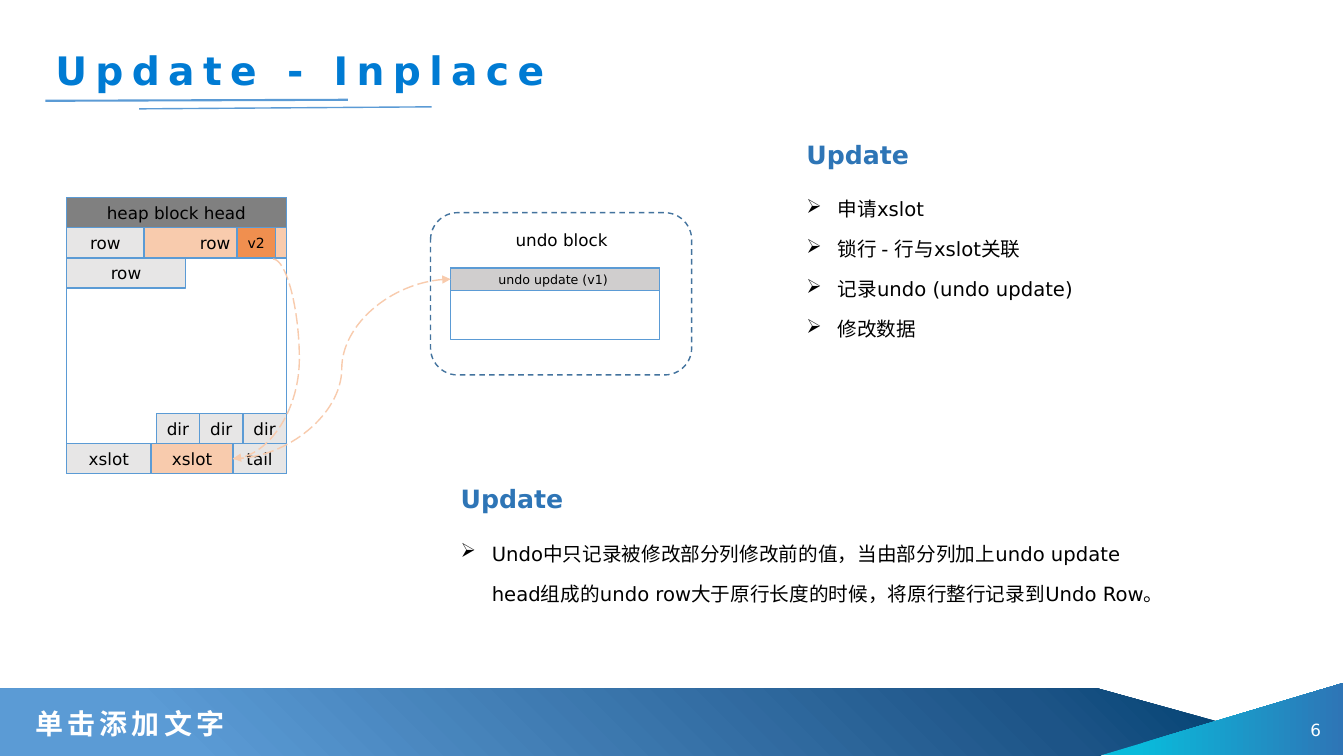
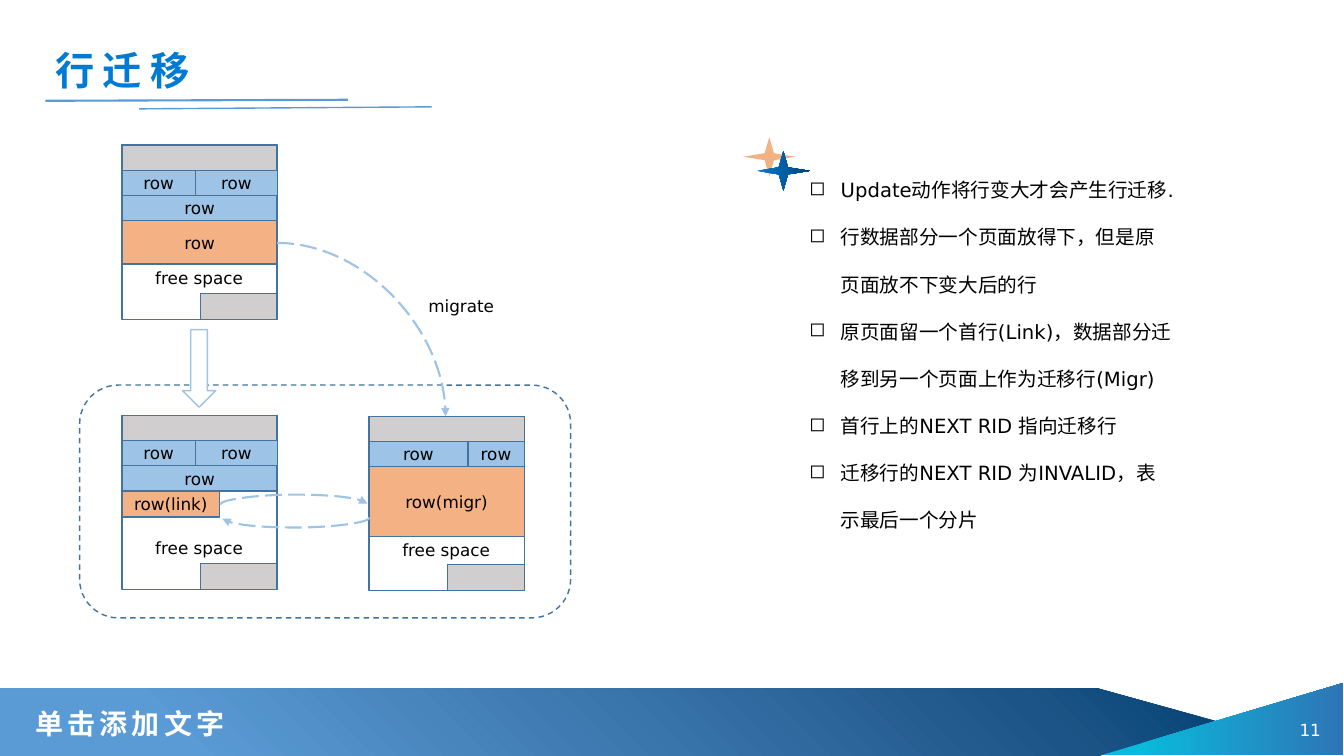
"""Build two slides on in-place updates and row migration in heap blocks."""
import copy

import pptx
import pptx.dml.color
import pptx.enum.dml
import pptx.enum.shapes
import pptx.enum.text
import pptx.oxml
import pptx.oxml.ns
import pptx.util

Inches, Pt = pptx.util.Inches, pptx.util.Pt
SHAPE = pptx.enum.shapes.MSO_SHAPE
CONNECTOR = pptx.enum.shapes.MSO_CONNECTOR
DASH = pptx.enum.dml.MSO_LINE
ALIGN = pptx.enum.text.PP_ALIGN
ANCHOR = pptx.enum.text.MSO_ANCHOR
qn = pptx.oxml.ns.qn

FONT = "DejaVu Sans"
FOOTER = "单击添加文字"
COLORS = {
    "white": "FFFFFF", "black": "000000", "blue": "5B9BD5", "steel": "43739E",
    "heading": "2E75B6", "bright": "007BD3", "navy": "034373", "deep": "1D5487",
    "cyan": "09BBDB", "sky": "9DC3E6", "gray": "808080", "silver": "D0CECE",
    "pale": "E7E6E6", "peach": "F8CBAD", "orange": "F08F4F", "apricot": "F4B183",
}
TITLE_GRADIENT = [(0, "bright"), (100, "navy")]
UNDERLINES = [((0.45, 1), (3.45, 0.99), 1.5), ((1.38, 1.08), (4.28, 1.06), 1)]

HEAP = (0.66, 1.96, 2.18, 2.74)
HEAP_ROW = 0.3
HEAP_ROWS = [
    (0.66, 1.96, [("heap block head", 2.18, "gray")]),
    (0.66, 2.26, [("row", 0.77, "pale"), ("row", 1.41, "peach")]),
    (0.66, 2.56, [("row", 1.18, "pale")]),
    (1.55, 4.1, [("dir", 0.43, "pale")] * 3),
    (0.66, 4.4, [("xslot", 0.84, "pale"), ("xslot", 0.81, "peach"), ("tail", 0.53, "pale")]),
]
UPDATE_PANELS = [
    (7.9, 1.33, 3.59, 1.7, ["申请xslot", "锁行 - 行与xslot关联", "记录undo (undo update)", "修改数据"]),
    (4.47, 4.75, 7.24, 1.3, [
        "Undo中只记录被修改部分列修改前的值，当由部分列加上undo update head组成的undo row"
        "大于原行长度的时候，将原行整行记录到Undo Row。"]),
]

BLOCK_W, BLOCK_H, BLOCK_ROW = 1.54, 1.73, 0.25
TAIL_W, TAIL_H = 0.76, 0.26
PAIR = (BLOCK_ROW, "sky", [("row", 0.73), ("row", 0.81)])
FULL = (BLOCK_ROW, "sky", [("row", BLOCK_W)])
BLOCKS = [
    (1.21, 1.44, [PAIR, FULL, (0.43, "apricot", [("row", BLOCK_W)])]),
    (1.21, 4.12, [PAIR, FULL, (0.26, "apricot", [("row(link)", 0.97)])]),
    (3.66, 4.13, [(BLOCK_ROW, "sky", [("row", 0.98), ("row", 0.56)]),
                  (0.69, "apricot", [("row(migr)", BLOCK_W)])]),
]
MIGRATION_POINTS = [
    "Update动作将行变大才会产生行迁移.",
    "行数据部分一个页面放得下，但是原页面放不下变大后的行",
    "原页面留一个首行(Link)，数据部分迁移到另一个页面上作为迁移行(Migr)",
    "首行上的NEXT RID 指向迁移行",
    "迁移行的NEXT RID 为INVALID，表示最后一个分片",
]


def rgb(name):
    return pptx.dml.color.RGBColor.from_string(COLORS[name])


def gradient(fill, stops, angle=0):
    fill.gradient()
    fill.gradient_angle = angle
    for stop, (position, color) in zip(fill.gradient_stops, stops):
        stop.position = position / 100
        stop.color.rgb = rgb(color)


def write(sp, text, size=12, color="black", bold=False, align=ALIGN.LEFT, anchor=ANCHOR.TOP,
          inset=0.1, spacing=None, tracking=0, bullet=None, stops=None):
    tf = sp.text_frame
    tf.word_wrap = True
    tf.vertical_anchor = anchor
    tf.margin_left = tf.margin_right = Inches(inset)
    tf.margin_top = tf.margin_bottom = Inches(inset / 2)
    lines = [text] if isinstance(text, str) else text
    for i, line in enumerate(lines):
        p = tf.paragraphs[0] if i == 0 else tf.add_paragraph()
        p.alignment = align
        if spacing:
            p.line_spacing = spacing
        if bullet:
            pPr = p._p.get_or_add_pPr()
            pPr.set("marL", str(Inches(0.31)))
            pPr.set("indent", str(-Inches(0.31)))
            pptx.oxml.ns  # noqa
            mark = pPr.makeelement(qn("a:buChar"), {"char": bullet})
            pPr.append(mark)
        r = p.add_run()
        r.text = line
        r.font.name, r.font.size, r.font.bold = FONT, Pt(size), bold
        if stops:
            gradient(r.font.fill, stops)
        else:
            r.font.color.rgb = rgb(color)
        if tracking:
            r._r.get_or_add_rPr().set("spc", str(tracking * 100))
    return tf


def add_text(s, x, y, w, h, text, **fmt):
    sp = s.shapes.add_textbox(Inches(x), Inches(y), Inches(w), Inches(h))
    return write(sp, text, **fmt)


def add_shape(s, x, y, w, h, kind=SHAPE.RECTANGLE, fill=None, line=None, dash=None):
    sp = s.shapes.add_shape(kind, Inches(x), Inches(y), Inches(w), Inches(h))
    sp.shadow.inherit = False
    if fill:
        sp.fill.solid()
        sp.fill.fore_color.rgb = rgb(fill)
    if line:
        sp.line.color.rgb = rgb(line)
        sp.line.width = Pt(1)
        sp.line.dash_style = dash
    else:
        sp.line.fill.background()
    return sp


def add_cell(s, x, y, w, h, label, fill, line=None, size=12):
    sp = add_shape(s, x, y, w, h, fill=fill, line=line)
    write(sp, label, size=size, align=ALIGN.CENTER, anchor=ANCHOR.MIDDLE, inset=0)


def add_line(s, start, end, color, width, kind=CONNECTOR.STRAIGHT):
    c = s.shapes.add_connector(kind, *(Inches(v) for v in (*start, *end)))
    c.line.color.rgb = rgb(color)
    c.line.width = Pt(width)
    spPr = c._element.spPr
    spPr.append(spPr.makeelement(qn("a:effectLst"), {}))
    return c


def add_arc(s, start, end, color, width, bend=None, preset=None, rotation=0):
    c = add_line(s, start, end, color, width, CONNECTOR.CURVE)
    c.line.dash_style = DASH.LONG_DASH
    spPr = c._element.spPr
    ln = spPr.find(qn("a:ln"))
    ln.append(ln.makeelement(qn("a:tailEnd"), {"type": "triangle"}))
    geom = spPr.find(qn("a:prstGeom"))
    if preset:
        geom.set("prst", preset)
    if bend is not None:
        guides = geom.find(qn("a:avLst"))
        guides.append(guides.makeelement(
            qn("a:gd"), {"name": "adj1", "fmla": f"val {round(bend * 100000)}"}))
    if rotation:
        spPr.find(qn("a:xfrm")).set("rot", str(rotation * 60000))


def add_band(s):
    band = add_shape(s, 0, 6.83, 12.1, 0.67, SHAPE.PENTAGON)
    band.adjustments[0] = 1.81
    gradient(band.fill, [(15, "blue"), (100, "navy")])
    grad = band._element.spPr.find(qn("a:gradFill"))
    stops = grad.find(qn("a:gsLst"))
    stops.insert(1, copy.deepcopy(stops[0]))
    middle = band.fill.gradient_stops[1]
    middle.position = 0.84
    middle.color.rgb = rgb("deep")
    radial = grad.makeelement(qn("a:path"), {"path": "circle"})
    radial.append(radial.makeelement(qn("a:fillToRect"), {"t": "100000", "r": "100000"}))
    grad.replace(grad.find(qn("a:lin")), radial)

    corner = add_shape(s, 11.76, 5.93, 0.72, 2.41, SHAPE.RIGHT_TRIANGLE)
    corner.rotation = 270
    gradient(corner.fill, [(15, "cyan"), (100, "heading")], angle=270)


def new_slide(prs, title, number):
    s = prs.slides.add_slide(prs.slide_layouts[6])
    add_band(s)
    add_text(s, 0.45, 0.41, 6, 0.57, title, size=28, bold=True, tracking=6,
             anchor=ANCHOR.MIDDLE, stops=TITLE_GRADIENT)
    for start, end, width in UNDERLINES:
        add_line(s, start, end, "blue", width)
    add_text(s, 0.25, 6.96, 3, 0.44, FOOTER, size=20, color="white", bold=True,
             tracking=3, anchor=ANCHOR.MIDDLE)
    add_text(s, 12.53, 7.04, 0.67, 0.4, number, color="white", align=ALIGN.RIGHT,
             anchor=ANCHOR.MIDDLE)
    return s


def update_slide(prs):
    s = new_slide(prs, "Update - Inplace", "6")
    for x, y, w, h, points in UPDATE_PANELS:
        add_text(s, x, y, w, 0.4, "Update", size=18, color="heading", bold=True)
        add_text(s, x, y + 0.41, w, h, points, size=14, spacing=1.7, bullet="➢")

    add_shape(s, *HEAP, fill="white", line="blue")
    for x, y, cells in HEAP_ROWS:
        for label, w, fill in cells:
            add_cell(s, x, y, w, HEAP_ROW, label, fill, "blue")
            x += w
    add_cell(s, 2.35, 2.26, 0.38, HEAP_ROW, "v2", "orange", "blue", size=10)

    add_shape(s, 4.27, 2.11, 2.59, 1.61, SHAPE.ROUNDED_RECTANGLE, "white", "steel", DASH.DASH)
    add_text(s, 4.96, 2.23, 1.22, 0.3, "undo block", align=ALIGN.CENTER)
    add_shape(s, 4.47, 2.66, 2.07, 0.71, fill="white", line="blue")
    add_cell(s, 4.47, 2.66, 2.07, 0.22, "undo update (v1) ", "silver", "blue", size=9)

    slot = (2.31, 4.55)
    add_arc(s, (2.71, 2.57), slot, "peach", 1, bend=-0.65)
    add_arc(s, slot, (4.47, 2.77), "peach", 1)


def add_block(s, x, y, rows):
    add_shape(s, x, y, BLOCK_W, BLOCK_H, fill="white", line="steel")
    add_shape(s, x, y, BLOCK_W, BLOCK_ROW, fill="silver", line="steel")
    add_shape(s, x + BLOCK_W - TAIL_W, y + BLOCK_H - TAIL_H, TAIL_W, TAIL_H,
              fill="silver", line="steel")
    add_cell(s, x + 0.08, y + 1.19, 1.37, 0.26, "free space", "white")
    top = y + BLOCK_ROW
    for h, fill, cells in rows:
        left = x
        for label, w in cells:
            add_cell(s, left, top, w, h, label, fill, "steel")
            left += w
        top += h


def migration_slide(prs):
    s = new_slide(prs, "行迁移", "11")
    add_shape(s, 0.79, 3.82, 4.87, 2.31, SHAPE.ROUNDED_RECTANGLE, "white", "steel", DASH.DASH)
    tf = add_text(s, 7.93, 1.72, 3.81, 3.63, MIGRATION_POINTS, size=14, spacing=2.0, bullet="◻")
    tf.paragraphs[0].line_spacing = 1.0
    add_shape(s, 7.37, 1.36, 0.52, 0.39, SHAPE.STAR_4_POINT, "apricot")
    star = add_shape(s, 7.51, 1.5, 0.52, 0.39, SHAPE.STAR_4_POINT)
    gradient(star.fill, TITLE_GRADIENT)

    for x, y, rows in BLOCKS:
        add_block(s, x, y, rows)
    add_shape(s, 1.81, 3.27, 0.33, 0.77, SHAPE.DOWN_ARROW, "white", "sky")
    add_text(s, 4.15, 2.88, 0.96, 0.3, "migrate")
    add_arc(s, (2.75, 2.41), (4.42, 4.13), "sky", 1.5, preset="curvedConnector2")
    for x, y, rotation in [(2.91, 4.27, 270), (2.93, 4.41, 90)]:
        add_arc(s, (x, y), (x + 0.01, y + 1.46), "sky", 1.5, bend=10, rotation=rotation)


def main():
    prs = pptx.Presentation()
    prs.slide_width, prs.slide_height = Inches(13.33), Inches(7.5)
    update_slide(prs)
    migration_slide(prs)
    prs.save("out.pptx")


if __name__ == "__main__":
    main()
